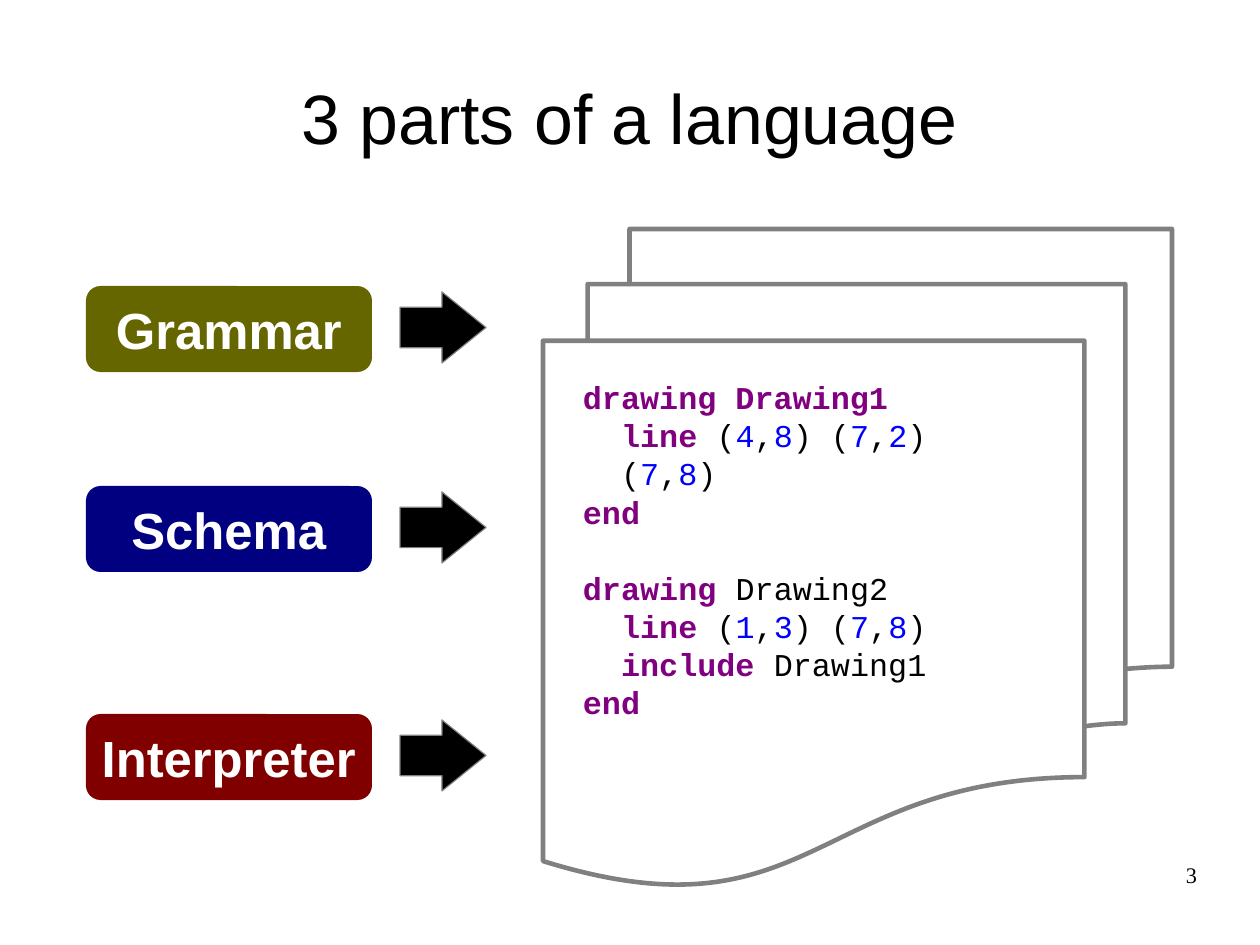
from dataclasses import dataclass
from itertools import groupby

from pptx import Presentation
from pptx.dml.color import RGBColor
from pptx.enum.shapes import MSO_SHAPE
from pptx.enum.text import MSO_ANCHOR, PP_ALIGN
from pptx.util import Emu, Pt

ROUNDED = MSO_SHAPE.ROUNDED_RECTANGLE
ARROW = MSO_SHAPE.RIGHT_ARROW
DOCUMENTS = MSO_SHAPE.FLOWCHART_MULTIDOCUMENT
MIDDLE, TOP = MSO_ANCHOR.MIDDLE, MSO_ANCHOR.TOP
LEFT, CENTER, RIGHT = PP_ALIGN.LEFT, PP_ALIGN.CENTER, PP_ALIGN.RIGHT

PX = 8000


@dataclass(frozen=True)
class Theme:
    black: str = "000000"
    white: str = "FFFFFF"
    outline: str = "808080"
    keyword: str = "800080"
    number: str = "0000FF"
    grammar: str = "666600"
    schema: str = "000080"
    interpreter: str = "800000"
    sans: str = "Arial"
    mono: str = "Courier New"
    serif: str = "Times New Roman"
    title_size: int = 44
    part_size: int = 32
    code_size: int = 20
    code_leading: int = 24
    number_size: int = 14


THEME = Theme()

PARTS = [
    ("Grammar", THEME.grammar, 286),
    ("Schema", THEME.schema, 486),
    ("Interpreter", THEME.interpreter, 714),
]

PROGRAMS = [
    [
        ("drawing Drawing1", "", ""),
        ("  line", "", " (4,8) (7,2)"),
        ("", "", "  (7,8)"),
        ("end", "", ""),
    ],
    [
        ("drawing", " Drawing2", ""),
        ("  line", "", " (1,3) (7,8)"),
        ("  include", " Drawing1", ""),
        ("end", "", ""),
    ],
]


def scaled(box):
    return [Emu(length * PX) for length in box]


def add_run(paragraph, text, *, font, size, color=THEME.black, bold=False):
    run = paragraph.add_run()
    run.text = text
    run.font.name = font
    run.font.size = Pt(size)
    run.font.bold = bold
    run.font.color.rgb = RGBColor.from_string(color)


def set_frame(shape, *, anchor=TOP, wrap=True, inset=(0, 0), align=LEFT):
    frame = shape.text_frame
    frame.word_wrap = wrap
    frame.vertical_anchor = anchor
    frame.margin_left = frame.margin_right = Emu(inset[0] * PX)
    frame.margin_top = frame.margin_bottom = Emu(inset[1] * PX)
    frame.paragraphs[0].alignment = align
    return frame


def add_shape(slide, kind, box, *, fill=None, line=None, width=0):
    shape = slide.shapes.add_shape(kind, *scaled(box))
    shape.shadow.inherit = False
    if fill:
        shape.fill.solid()
        shape.fill.fore_color.rgb = RGBColor.from_string(fill)
    else:
        shape.fill.background()
    if line:
        shape.line.color.rgb = RGBColor.from_string(line)
        shape.line.width = Pt(width)
    else:
        shape.line.fill.background()
    return shape


def add_title(slide, box, text):
    title = slide.shapes.title
    title.left, title.top, title.width, title.height = scaled(box)
    frame = set_frame(title, anchor=MIDDLE, align=CENTER)
    add_run(frame.paragraphs[0], text, font=THEME.sans, size=THEME.title_size)


def add_part(slide, box, name, color):
    left, top, width, height = box
    label = add_shape(slide, ROUNDED, (left, top, 286, height), fill=color)
    label.adjustments[0] = 0.17
    frame = set_frame(label, anchor=MIDDLE, wrap=False, inset=(11, 6), align=CENTER)
    add_run(frame.paragraphs[0], name, font=THEME.sans, size=THEME.part_size,
            color=THEME.white, bold=True)
    arrow_box = (left + width - 86, top + 6, 86, 71)
    arrow = add_shape(slide, ARROW, arrow_box, fill=THEME.black, line=THEME.outline)
    arrow.adjustments[0] = 0.57
    arrow.adjustments[1] = 0.62


def add_code_line(paragraph, keyword, name, coordinates):
    style = {"font": THEME.mono, "size": THEME.code_size}
    paragraph.line_spacing = Pt(THEME.code_leading)
    if keyword:
        add_run(paragraph, keyword, color=THEME.keyword, bold=True, **style)
    if name:
        add_run(paragraph, name, **style)
    for is_number, letters in groupby(coordinates, str.isdigit):
        color = THEME.number if is_number else THEME.black
        add_run(paragraph, "".join(letters), color=color, **style)


def add_documents(slide, box):
    left, top, width, height = box
    add_shape(slide, DOCUMENTS, box, line=THEME.outline, width=2.89)
    code_box = (left + 29, top + 143, width - 117, height - 297)
    code = slide.shapes.add_textbox(*scaled(code_box))
    frame = set_frame(code, inset=(11, 6))
    paragraph = frame.paragraphs[0]
    for program_index, program in enumerate(PROGRAMS):
        for line_index, line in enumerate(program):
            if program_index or line_index:
                paragraph = frame.add_paragraph()
            if program_index and not line_index:
                paragraph.space_before = Pt(THEME.code_leading)
            add_code_line(paragraph, *line)


def add_page_number(slide, box, text):
    frame = set_frame(slide.shapes.add_textbox(*scaled(box)), align=RIGHT)
    add_run(frame.paragraphs[0], text, font=THEME.serif, size=THEME.number_size)


def main():
    presentation = Presentation()
    presentation.slide_width, presentation.slide_height = scaled((1260, 945))
    slide = presentation.slides.add_slide(presentation.slide_layouts[5])
    add_title(slide, (63, 38, 1134, 158), "3 parts of a language")
    for name, color, top in PARTS:
        add_part(slide, (86, top, 400, 86), name, color)
    add_documents(slide, (543, 229, 629, 657))
    add_page_number(slide, (903, 861, 294, 65), "3")
    presentation.save("out.pptx")


if __name__ == "__main__":
    main()
